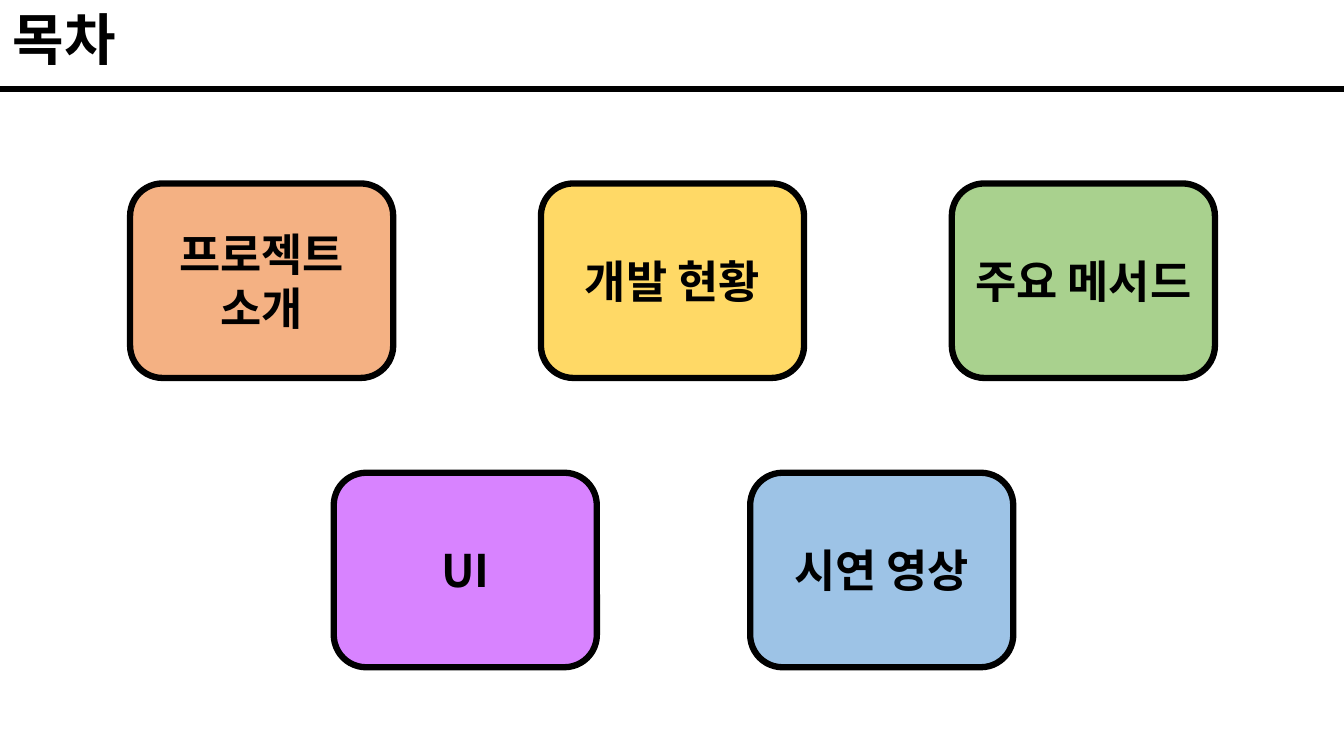
from lxml import etree
from pptx import Presentation
from pptx import util as u
from pptx.dml.color import RGBColor
from pptx.enum import shapes, text
from pptx.oxml.ns import qn

FONT = "Noto Sans CJK KR"
COLORS = {"black": "000000", "orange": "F4B183", "yellow": "FFD966",
          "green": "A9D18E", "purple": "D883FF", "blue": "9DC3E6"}

prs = Presentation()
prs.slide_width, prs.slide_height = u.Inches(13.33), u.Inches(7.5)
s = prs.slides.add_slide(prs.slide_layouts[6])


def rgb(name):
    return RGBColor.from_string(COLORS[name])


def write(tf, lines, size, align):
    for i, line in enumerate(lines):
        p = tf.paragraphs[0] if i == 0 else tf.add_paragraph()
        p.alignment = align
        r = p.add_run()
        r.text = line
        for key, value in {"size": u.Pt(size), "bold": True, "name": FONT}.items():
            setattr(r.font, key, value)
        r.font.color.rgb = rgb("black")
        # Hangul takes the East Asian typeface
        etree.SubElement(r.font._element, qn("a:ea")).set("typeface", FONT)


# Topic cards: each row has a top, a first left edge and a column pitch
CARD_W, CARD_H = 2.61, 1.93
rows = [
    (1.82, 1.29, 4.075, [(["프로젝트", "소개"], "orange"),
                         (["개발 현황"], "yellow"),
                         (["주요 메서드"], "green")]),
    (4.69, 3.31, 4.13, [(["UI"], "purple"), (["시연 영상"], "blue")]),
]
for top, left, pitch, cards in rows:
    for col, (lines, color) in enumerate(cards):
        sp = s.shapes.add_shape(
            shapes.MSO_SHAPE.ROUNDED_RECTANGLE, u.Inches(left + col * pitch),
            u.Inches(top), u.Inches(CARD_W), u.Inches(CARD_H))
        sp.shadow.inherit = False
        sp.fill.solid()
        sp.fill.fore_color.rgb = rgb(color)
        sp.line.color.rgb = rgb("black")
        sp.line.width = u.Pt(4.5)
        tf = sp.text_frame
        tf.word_wrap = True
        tf.vertical_anchor = text.MSO_ANCHOR.MIDDLE
        write(tf, lines, 32, text.PP_ALIGN.CENTER)

# Title
tf = s.shapes.add_textbox(u.Inches(0.03), 0, u.Inches(1.26), u.Inches(0.77)).text_frame
tf.word_wrap = False
tf.auto_size = text.MSO_AUTO_SIZE.SHAPE_TO_FIT_TEXT
write(tf, ["목차"], 40, text.PP_ALIGN.LEFT)

# Rule under the title
rule = s.shapes.add_connector(shapes.MSO_CONNECTOR.STRAIGHT, 0, u.Inches(0.88),
                              prs.slide_width, u.Inches(0.88))
rule.line.color.rgb = rgb("black")
rule.line.width = u.Pt(4.5)
etree.SubElement(rule._element.spPr, qn("a:effectLst"))

prs.save("out.pptx")
